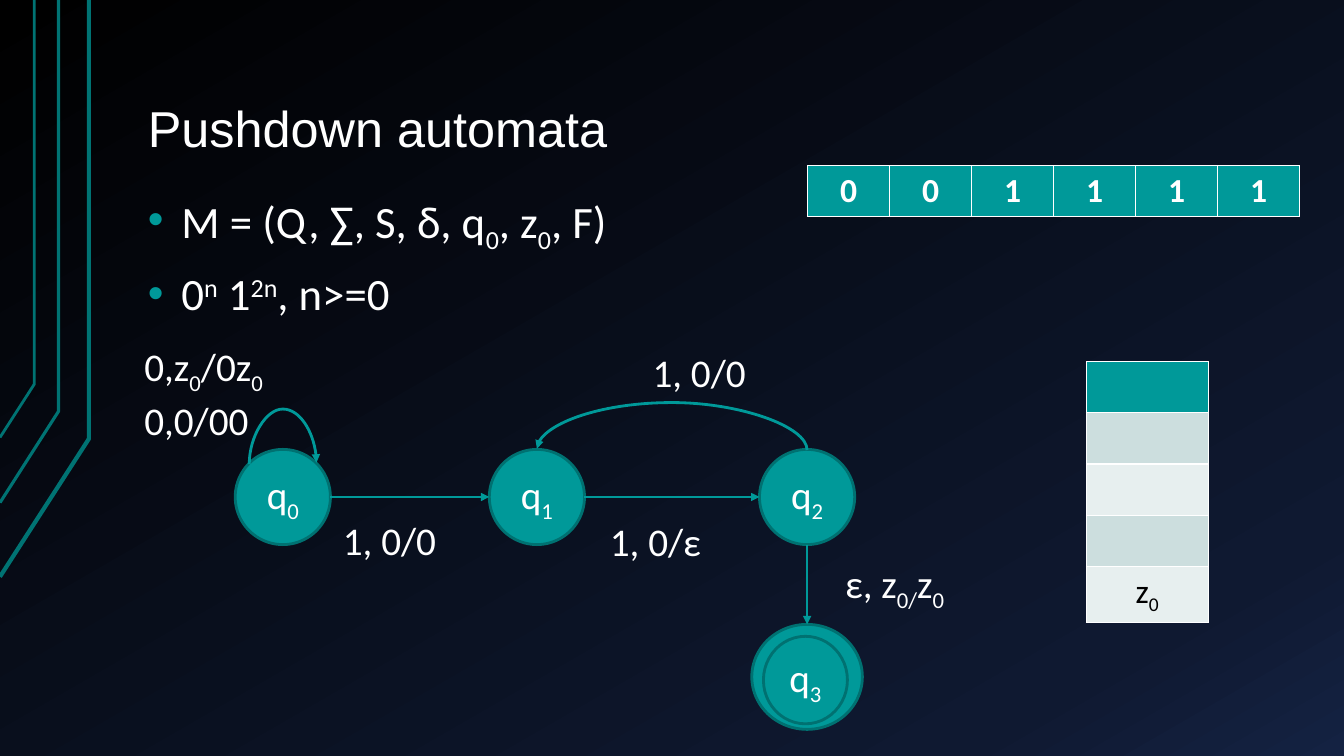
from dataclasses import dataclass
from copy import deepcopy
from lxml.etree import SubElement
from pptx import Presentation
from pptx.dml.color import RGBColor
from pptx.enum.shapes import MSO_CONNECTOR, MSO_SHAPE
from pptx.enum.text import MSO_ANCHOR, PP_ALIGN
from pptx.oxml.ns import qn
from pptx.util import Pt


@dataclass(frozen=True)
class Theme:
    """Colours, fonts and type sizes of the slide."""
    white = RGBColor.from_string("FFFFFF")
    black = RGBColor.from_string("000000")
    teal = RGBColor.from_string("009999")
    outline = RGBColor.from_string("007171")
    rail = RGBColor.from_string("007373")
    band_dark = RGBColor.from_string("CCDEDE")
    band_light = RGBColor.from_string("E7EFEF")
    night = ((0, "000000"), (0.85, "0F1931"), (1, "142242"))
    heading_font = "Arial"
    body_font = "Calibri"
    title_size = 36
    body_size = 32
    label_size = 28
    table_size = 24


theme = Theme()
SUB, SUPER = -25000, 30000


def write(para, spans, size, color=theme.white, font=theme.body_font, bold=False):
    """Add runs to a paragraph; each is (text, baseline shift)."""
    for text, shift in spans:
        span = para.add_run()
        span.text = text
        span.font.size = Pt(size)
        span.font.name = font
        span.font.color.rgb = color
        span.font.bold = bold
        if shift:
            span.font._element.set("baseline", str(shift))


def add_arrow(kind, ends, source, source_site, target, target_site):
    """Draw an arrow glued to two states and return it."""
    arrow = page.shapes.add_connector(kind, *[Pt(value) for value in ends])
    arrow.line.color.rgb = theme.teal
    arrow.line.width = Pt(2)
    SubElement(arrow.line._get_or_add_ln(), qn("a:tailEnd"), type="triangle")
    SubElement(arrow._element.spPr, qn("a:effectLst"))
    glue = arrow._element.find(".//" + qn("p:cNvCxnSpPr"))
    for tag, state, site in (("a:stCxn", source, source_site), ("a:endCxn", target, target_site)):
        SubElement(glue, qn(tag), id=str(state.shape_id), idx=str(site))
    return arrow


deck = Presentation()
deck.slide_width, deck.slide_height = Pt(960), Pt(540)
page = deck.slides.add_slide(deck.slide_layouts[6])

# Background gradient
backdrop = page.background.fill
backdrop.gradient()
stop_list = page._element.find(".//" + qn("a:gsLst"))
stop_list.append(deepcopy(stop_list[-1]))
for stop, (position, color) in zip(backdrop.gradient_stops, theme.night):
    stop.position = position
    stop.color.rgb = RGBColor.from_string(color)
backdrop.gradient_angle = 300

# Bent rails on the left edge
for foot, bend_x, bend_y, width in ((412, 63.5, 313.5, 3), (359, 41.8, 293.8, 2.25), (312.5, 24.5, 274.5, 2)):
    outline = page.shapes.build_freeform(Pt(0), Pt(foot))
    outline.add_line_segments([(Pt(bend_x), Pt(bend_y)), (Pt(bend_x), Pt(0))], close=False)
    rail = outline.convert_to_shape()
    rail.shadow.inherit = False
    rail.fill.background()
    rail.line.color.rgb = theme.rail
    rail.line.width = Pt(width)

# Title and definition
title = page.shapes.add_textbox(Pt(96), Pt(21.6), Pt(816), Pt(96.5)).text_frame
title.vertical_anchor = MSO_ANCHOR.BOTTOM
body = page.shapes.add_textbox(Pt(96), Pt(134), Pt(816), Pt(351)).text_frame
for frame in (title, body):
    frame.word_wrap = True
    frame.margin_left = frame.margin_right = Pt(9.6)
    frame.margin_top = frame.margin_bottom = Pt(4.8)
title.paragraphs[0].line_spacing = 0.9
write(title.paragraphs[0], [("Pushdown automata", 0)], theme.title_size, font=theme.heading_font)

definition = [("M = (Q, ∑, S, δ, q", 0), ("0", SUB), (", z", 0), ("0", SUB), (", F)", 0)]
language = [("0", 0), ("n", SUPER), (" 1", 0), ("2n", SUPER), (", n>=0", 0)]
for number, spans in enumerate((definition, language)):
    para = body.add_paragraph() if number else body.paragraphs[0]
    para.line_spacing = 0.9
    para.space_before = Pt(16)
    layout = para._p.get_or_add_pPr()
    layout.set("marL", str(Pt(24)))
    layout.set("indent", str(-Pt(24)))
    bullet_color = SubElement(layout, qn("a:buClr"))
    SubElement(bullet_color, qn("a:srgbClr"), val=str(theme.teal))
    SubElement(layout, qn("a:buFont"), typeface="Arial")
    SubElement(layout, qn("a:buChar"), char="•")
    write(para, spans, theme.body_size)

# Input tape
tape_input = "001111"
tape = page.shapes.add_table(1, len(tape_input), Pt(576.8), Pt(118.5), Pt(351.6), Pt(36)).table
for cell, symbol in zip(tape.rows[0].cells, tape_input):
    cell.fill.solid()
    cell.fill.fore_color.rgb = theme.teal
    para = cell.text_frame.paragraphs[0]
    para.alignment = PP_ALIGN.CENTER
    write(para, [(symbol, 0)], theme.table_size, bold=True)

# Stack with its bottom marker
stack_fills = (theme.teal, theme.band_dark, theme.band_light, theme.band_dark, theme.band_light)
stack = page.shapes.add_table(len(stack_fills), 1, Pt(776), Pt(258.3), Pt(87), Pt(183)).table
for row, color in enumerate(stack_fills):
    cell = stack.cell(row, 0)
    cell.fill.solid()
    cell.fill.fore_color.rgb = color
bottom = cell.text_frame.paragraphs[0]
bottom.alignment = PP_ALIGN.CENTER
write(bottom, [("z", 0), ("0", SUB)], theme.table_size, theme.black)

# States; the accepting state is a double ring
states = []
for index, left, top, width, height in (
    ("0", 168, 321, 68, 68), ("1", 349.5, 321, 68, 68), ("2", 542.5, 321, 68, 68),
    ("", 537, 446, 79, 75), ("3", 545.3, 454.5, 60, 62.5),
):
    state = page.shapes.add_shape(MSO_SHAPE.OVAL, Pt(left), Pt(top), Pt(width), Pt(height))
    state.shadow.inherit = False
    state.fill.solid()
    state.fill.fore_color.rgb = theme.teal
    state.line.color.rgb = theme.outline
    state.line.width = Pt(2)
    state.text_frame.vertical_anchor = MSO_ANCHOR.MIDDLE
    if index:
        para = state.text_frame.paragraphs[0]
        para.alignment = PP_ALIGN.CENTER
        write(para, [("q", 0), (index, SUB)], theme.label_size)
    states.append(state)
q0, q1, q2, q3_ring, q3 = states

# Straight transitions; oval sites run counter-clockwise from the top, 0 to 7
add_arrow(MSO_CONNECTOR.STRAIGHT, (236, 355, 349.5, 355), q0, 6, q1, 2)
add_arrow(MSO_CONNECTOR.STRAIGHT, (417.5, 355, 542.5, 355), q1, 6, q2, 2)
add_arrow(MSO_CONNECTOR.STRAIGHT, (576.5, 389, 576.5, 446), q2, 4, q3_ring, 0)

# Arched transitions: a one-point-wide curve turned on its side
for center_x, center_y, span_width, rise, turn, flips, ends in (
    (202, 331, 48, 39.6, 90, ("flipH", "flipV"), (q0, 1, q0, 7)),
    (480, 321, 193, 34.2, 270, ("flipV",), (q2, 0, q1, 0)),
):
    half = span_width / 2
    corners = (center_x - 0.5, center_y - half, center_x + 0.5, center_y + half)
    arch = add_arrow(MSO_CONNECTOR.CURVE, corners, *ends)
    frame = arch._element.spPr.find(qn("a:xfrm"))
    frame.set("rot", str(turn * 60000))
    for flip in flips:
        frame.set(flip, "1")
    guides = arch._element.spPr.find(qn("a:prstGeom")).find(qn("a:avLst"))
    SubElement(guides, qn("a:gd"), name="adj1", fmla=f"val {round(rise * 100000)}")

# Transition labels
for left, top, lines in (
    (96, 241, [[("0,z", 0), ("0", SUB), ("/0z", 0), ("0", SUB)], [("0,0/00", 0)]]),
    (237.8, 365, [[("1, 0/0", 0)]]),
    (428.5, 366, [[("1, 0/ε", 0)]]),
    (459, 245, [[("1, 0/0", 0)]]),
    (596.5, 396, [[("ε, z", 0), ("0/", SUB), ("z", 0), ("0", SUB)]]),
):
    box = page.shapes.add_textbox(Pt(left), Pt(top), Pt(137.5), Pt(7 + 34 * len(lines))).text_frame
    box.word_wrap = True
    for number, spans in enumerate(lines):
        para = box.add_paragraph() if number else box.paragraphs[0]
        write(para, spans, theme.label_size)

deck.save("out.pptx")
